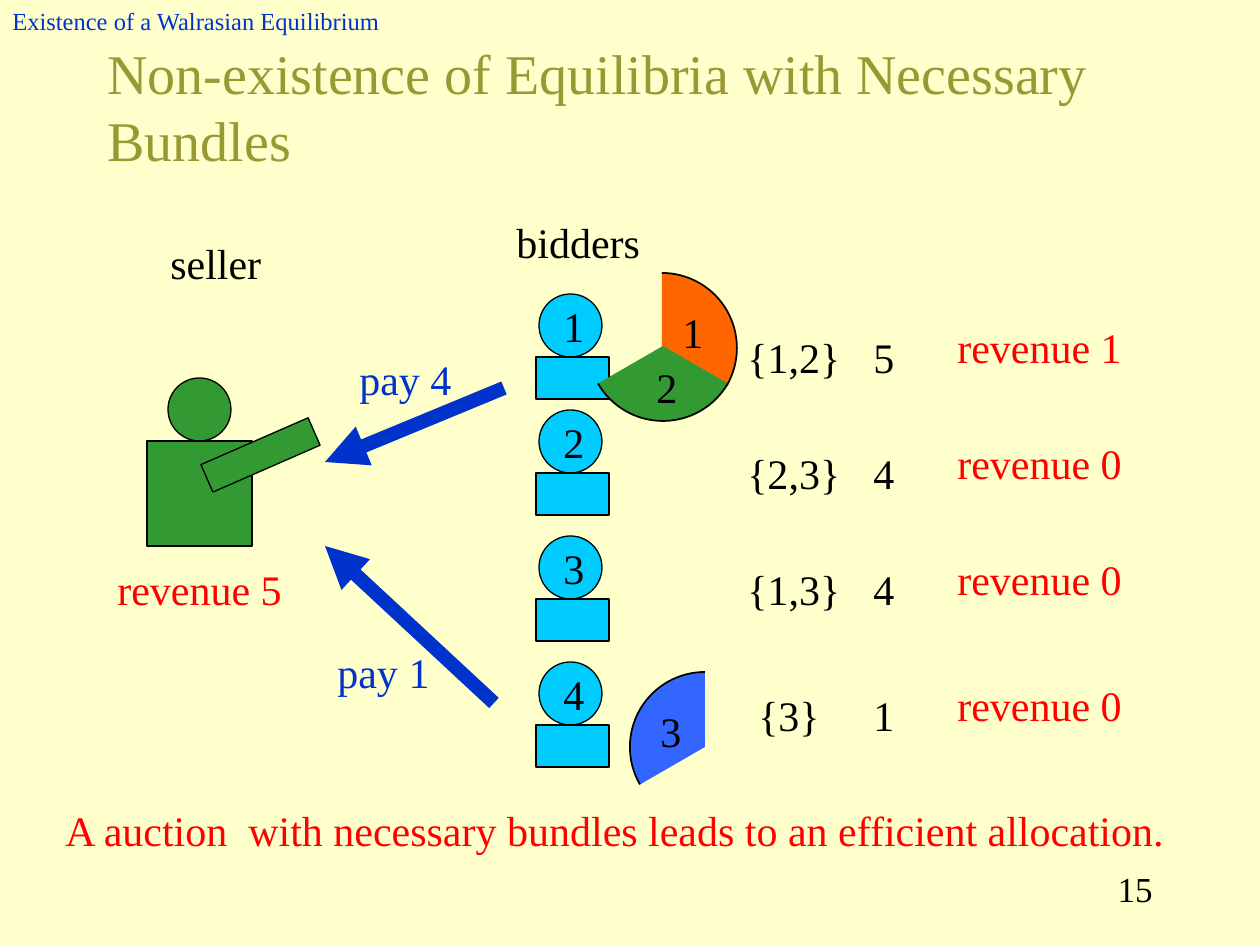
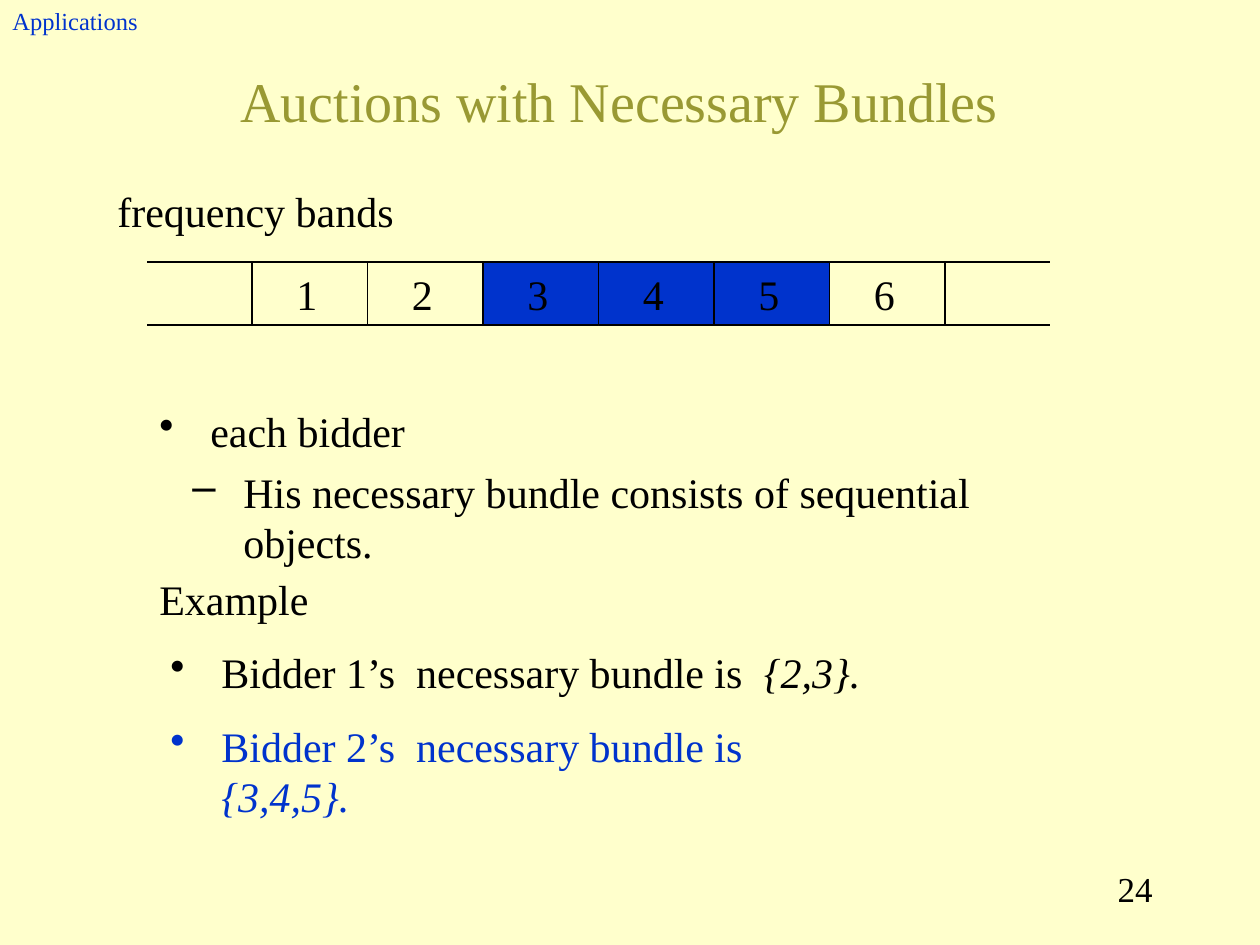
from lxml.etree import SubElement
from pptx import Presentation
from pptx.dml.color import RGBColor
from pptx.enum.shapes import MSO_CONNECTOR, MSO_SHAPE
from pptx.enum.text import MSO_ANCHOR, PP_ALIGN
from pptx.oxml.ns import qn
from pptx.util import Inches, Pt

FONT = "Times New Roman"
CREAM = RGBColor(0xFF, 0xFF, 0xCC)
OLIVE = RGBColor(0x99, 0x99, 0x33)
BLACK = RGBColor(0x00, 0x00, 0x00)
RED = RGBColor(0xFF, 0x00, 0x00)
BLUE = RGBColor(0x00, 0x33, 0xCC)
GREEN = RGBColor(0x33, 0x99, 0x33)
CYAN = RGBColor(0x00, 0xCC, 0xFF)
ORANGE = RGBColor(0xFF, 0x66, 0x00)
SKY = RGBColor(0x33, 0x66, 0xFF)

# Number, top of head, top of bundle text, left of bundle text, bundle, value, revenue
BIDDERS = [
    ("1", 294, 325, 735, "{1,2}", "5", "revenue 1"),
    ("2", 410, 441, 735, "{2,3}", "4", "revenue 0"),
    ("3", 536, 557, 735, "{1,3}", "4", "revenue 0"),
    ("4", 662, 683, 746, "{3}", "1", "revenue 0"),
]
# Object, colour, left and top of its circle, start and end angle, place of its label
SLICES = [
    ("1", ORANGE, 587, 273, 270, 30, 670, 300),
    ("2", GREEN, 588, 271, 30, 150, 644, 355),
    ("3", SKY, 630, 672, 150, 270, 648, 699),
]
SLICE_SIZE = 150
# Text, place of the text, start and end of the arrow
PAYMENTS = [
    ("pay 4", (347, 347), (504, 388), (325, 462)),
    ("pay 1", (325, 640), (494, 703), (325, 546)),
]
AUCTION_LABELS = [
    ("seller", 158, 231, 126, BLACK),
    ("bidders", 504, 210, 160, BLACK),
    ("revenue 5", 105, 557, 199, RED),
    ("A auction  with necessary bundles leads to an efficient allocation.",
     53, 798, 1144, RED),
]

BANDS = ["1", "2", "3", "4", "5", "6"]
WANTED_BANDS = {"3", "4", "5"}
BAND_LEFT, BAND_TOP, BAND_WIDTH, BAND_HEIGHT = 252, 262, 115.5, 63
OPEN_END = 105
RULE_PARAS = [
    {"text": "each bidder", "bullet": "•"},
    {"text": "His necessary bundle consists of sequential objects.",
     "bullet": "–", "level": 1, "before": 6},
]
EXAMPLES = [
    ("Bidder 1’s  necessary bundle is  ", "{2,3}.", 640, BLACK),
    ("Bidder 2’s  necessary bundle is  ", "{3,4,5}.", 714, BLUE),
]
BULLET_HANG, LEVEL_INDENT = 51, 33


def px(length):
    return round(length * Inches(1) / 126)


def write(page, text, left, top, width, height=63, *, size=24, color=BLACK,
          align=PP_ALIGN.LEFT, anchor=MSO_ANCHOR.TOP, bullet=None, italic_end=""):
    """Place text, a string or a list of paragraph dicts, in a text box."""
    box = page.shapes.add_textbox(px(left), px(top), px(width), px(height))
    frame = box.text_frame
    frame.word_wrap = True
    frame.vertical_anchor = anchor
    paras = [{"text": text, "bullet": bullet}] if isinstance(text, str) else text
    for index, content in enumerate(paras):
        para = frame.add_paragraph() if index else frame.paragraphs[0]
        if content["bullet"]:
            add_bullet(para, content["bullet"], content.get("level", 0))
        para.alignment = align
        if "before" in content:
            para.space_before = Pt(content["before"])
        for words, italic in ((content["text"], False), (italic_end, True)):
            if words:
                span = para.add_run()
                span.text = words
                span.font.name = FONT
                span.font.size = Pt(size)
                span.font.color.rgb = color
                span.font.italic = italic


def add_bullet(para, sign, level):
    properties = para._p.get_or_add_pPr()
    properties.set("marL", str(px(BULLET_HANG + level * LEVEL_INDENT)))
    properties.set("indent", str(-px(BULLET_HANG)))
    SubElement(properties, qn("a:buChar")).set("char", sign)
    para.level = level


def draw(page, kind, left, top, width, height, fill=None, line=BLACK,
         weight=0.75, angles=None):
    shape = page.shapes.add_shape(kind, px(left), px(top), px(width), px(height))
    shape.shadow.inherit = False
    if fill is None:
        shape.fill.background()
    else:
        shape.fill.solid()
        shape.fill.fore_color.rgb = fill
    if line is None:
        shape.line.fill.background()
    else:
        shape.line.color.rgb = line
        shape.line.width = Pt(weight)
    for index, angle in enumerate(angles or ()):
        shape.adjustments[index] = angle * 0.6  # 60000ths of a degree / 100000
    return shape


def connect(page, start, end, color=BLACK, weight=0.75, arrow=False):
    connector = page.shapes.add_connector(
        MSO_CONNECTOR.STRAIGHT, *map(px, start + end))
    connector.line.color.rgb = color
    connector.line.width = Pt(weight)
    properties = connector.element.spPr
    if arrow:
        SubElement(properties.find(qn("a:ln")), qn("a:tailEnd")).set("type", "triangle")
    SubElement(properties, qn("a:effectLst"))


def add_page(deck, section, title, number, title_box, title_align):
    page = deck.slides.add_slide(deck.slide_layouts[6])
    write(page, title, *title_box, size=32, color=OLIVE, align=title_align,
          anchor=MSO_ANCHOR.MIDDLE)
    write(page, section, 0, 0, 451, 42, size=14, color=BLUE, anchor=MSO_ANCHOR.MIDDLE)
    write(page, number, 903, 861, 262, size=20, align=PP_ALIGN.RIGHT)
    return page


def draw_seller(page):
    draw(page, MSO_SHAPE.OVAL, 168, 378, 63, 63, GREEN)
    draw(page, MSO_SHAPE.RECTANGLE, 147, 441, 105, 105, GREEN)
    arm = draw(page, MSO_SHAPE.RECTANGLE, 202, 440, 117, 30, GREEN)
    arm.rotation = 336.4


def draw_bidder(page, number, top):
    draw(page, MSO_SHAPE.OVAL, 539, top, 63, 63, CYAN)
    draw(page, MSO_SHAPE.RECTANGLE, 536, top + 63, 73, 42, CYAN)
    write(page, number, 551, top, 52)


def build_auction(deck):
    page = add_page(deck, "Existence of a Walrasian Equilibrium",
                    "Non-existence of Equilibria with Necessary Bundles", "15",
                    (95, 53, 1071, 105), PP_ALIGN.LEFT)
    draw_seller(page)
    for text, left, top, width, color in AUCTION_LABELS:
        write(page, text, left, top, width, color=color)
    for number, head_top, top, left, bundle, value, revenue in BIDDERS:
        draw_bidder(page, number, head_top)
        write(page, bundle, left, top, 126)
        write(page, value, 861, top, 53)
        write(page, revenue, 945, top - 10, 199, color=RED)
    for text, place, start, end in PAYMENTS:
        connect(page, start, end, BLUE, 8, arrow=True)
        write(page, text, *place, 126, color=BLUE)
    for number, color, left, top, start, end, label_left, label_top in SLICES:
        circle = (left, top, SLICE_SIZE, SLICE_SIZE)
        draw(page, MSO_SHAPE.PIE, *circle, color, line=None, angles=(start, end))
        draw(page, MSO_SHAPE.ARC, *circle, weight=1, angles=(start, end))
        write(page, number, label_left, label_top, 48)


def build_bands(deck):
    page = add_page(deck, "Applications", "Auctions with Necessary Bundles", "24",
                    (84, 42, 1071, 116), PP_ALIGN.CENTER)
    write(page, "frequency bands", 105, 179, 325)
    for index, band in enumerate(BANDS):
        left = BAND_LEFT + index * BAND_WIDTH
        draw(page, MSO_SHAPE.RECTANGLE, left, BAND_TOP, BAND_WIDTH, BAND_HEIGHT,
             BLUE if band in WANTED_BANDS else None)
        write(page, band, left + 32, BAND_TOP, 53)
    right = BAND_LEFT + len(BANDS) * BAND_WIDTH
    for y in (BAND_TOP, BAND_TOP + BAND_HEIGHT):
        connect(page, (BAND_LEFT, y), (BAND_LEFT - OPEN_END, y))
        connect(page, (right, y), (right + OPEN_END, y))
    write(page, RULE_PARAS, 147, 399, 872, 175)
    write(page, "Example", 147, 567, 179)
    for text, bundle, top, color in EXAMPLES:
        write(page, text, 158, top, 735, color=color, bullet="•", italic_end=bundle)


def main():
    deck = Presentation()
    deck.slide_width, deck.slide_height = Inches(10), Inches(7.5)
    background = deck.slide_master.background.fill
    background.solid()
    background.fore_color.rgb = CREAM
    build_auction(deck)
    build_bands(deck)
    deck.save("out.pptx")


if __name__ == "__main__":
    main()
